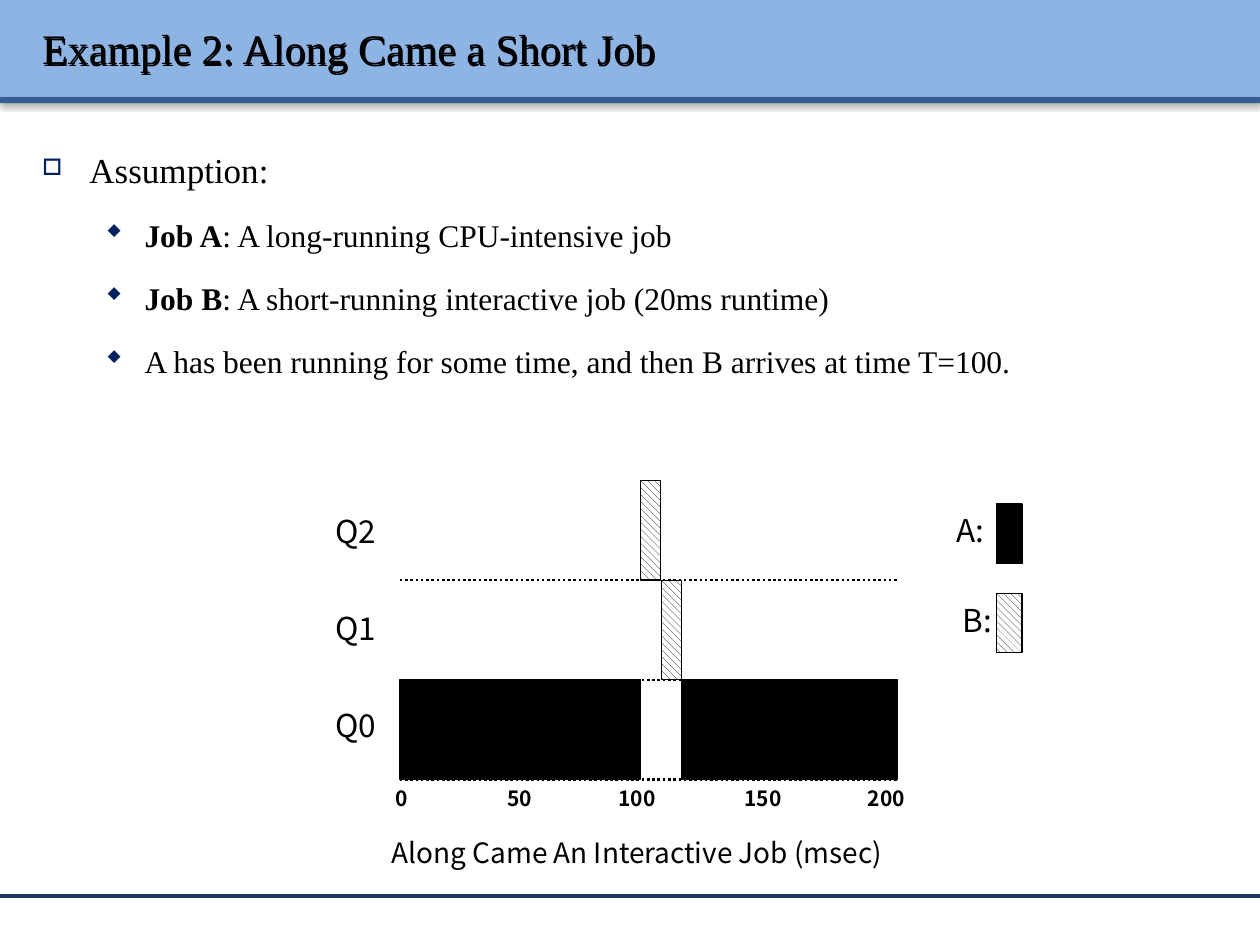
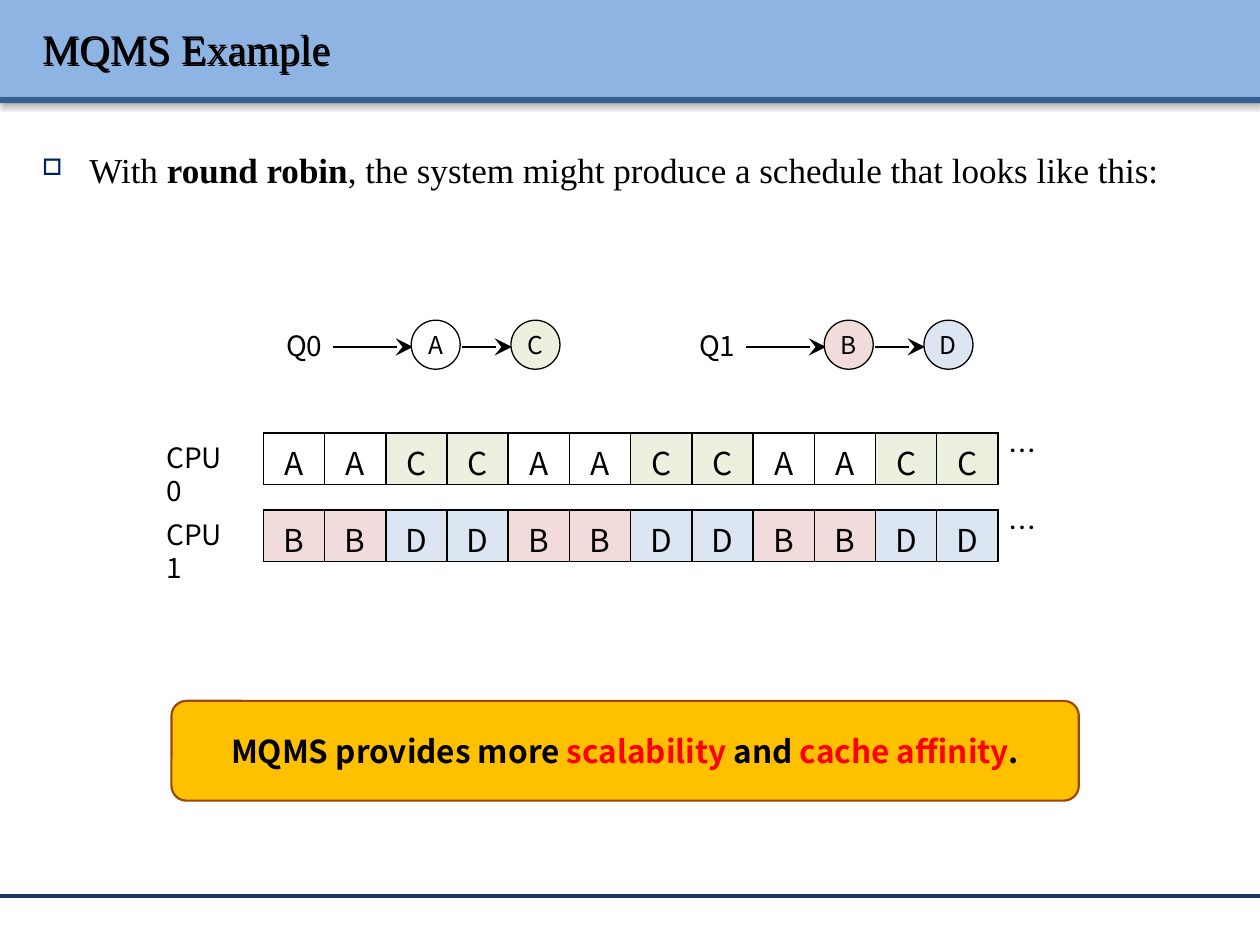
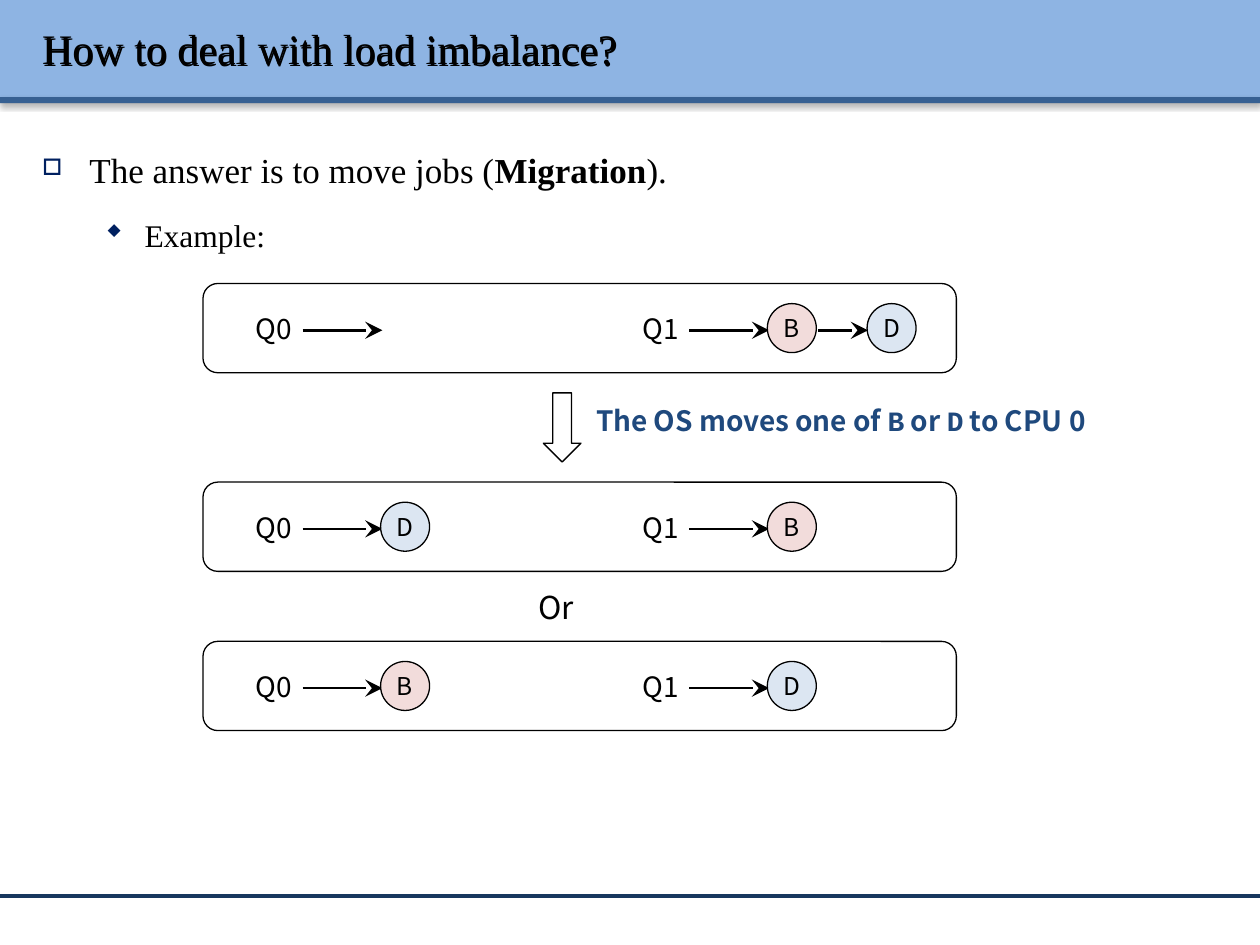
from dataclasses import dataclass
from typing import Optional

from lxml.etree import SubElement
from pptx import Presentation
from pptx.dml.color import RGBColor
from pptx.enum.dml import MSO_LINE_DASH_STYLE as DASH, MSO_PATTERN_TYPE as PATTERN
from pptx.enum.shapes import MSO_CONNECTOR_TYPE as CONNECTOR, MSO_SHAPE as SHAPE
from pptx.enum.text import MSO_ANCHOR as ANCHOR, MSO_AUTO_SIZE as AUTO_SIZE, PP_ALIGN as ALIGN
from pptx.oxml.ns import qn
from pptx.util import Pt

BLACK = RGBColor(0x00, 0x00, 0x00)
WHITE = RGBColor(0xFF, 0xFF, 0xFF)
RED = RGBColor(0xFF, 0x00, 0x00)
BAND = RGBColor(0x8E, 0xB4, 0xE3)
STRIP = RGBColor(0x37, 0x60, 0x92)
FOOTER = RGBColor(0x17, 0x37, 0x5E)
NAVY = RGBColor(0x1F, 0x49, 0x7D)
AMBER = RGBColor(0xFF, 0xC0, 0x00)
BROWN = RGBColor(0x98, 0x48, 0x07)
BULLET = RGBColor(0x00, 0x20, 0x60)
GREEN = RGBColor(0xEB, 0xF1, 0xDE)
PINK = RGBColor(0xF2, 0xDC, 0xDB)
BLUE = RGBColor(0xDC, 0xE6, 0xF2)
JOB_FILLS = {"A": WHITE, "B": PINK, "C": GREEN, "D": BLUE}

SERIF, SANS, MONO, SYMBOLS = "Times New Roman", "Noto Sans CJK KR", "Courier New", "Wingdings"
LEFT, WIDTH, PAGE_WIDTH = 17, 692, 720


@dataclass
class Span:
    """A piece of text with its own look, on a new line if asked."""

    text: str
    bold: bool = False
    color: RGBColor = BLACK
    font: Optional[str] = None
    new_line: bool = False


def write(para, spans, size, font=SANS):
    """Fill a paragraph with spans of text."""
    for span in spans:
        if span.new_line:
            para.add_line_break()
        run = para.add_run()
        run.text = span.text
        run.font.size = Pt(size)
        run.font.bold = span.bold
        run.font.color.rgb = span.color
        run.font.name = span.font or font
        SubElement(run.font._element, qn("a:ea"), typeface=span.font or font)


def add_shadow(shape, blur, distance, angle, alpha):
    """Give a shape a black outer shadow."""
    shape.shadow.inherit = False
    effects = shape._element.spPr.find(qn("a:effectLst"))
    outer = SubElement(effects, qn("a:outerShdw"), blurRad=str(Pt(blur)), dist=str(Pt(distance)),
                       dir=str(angle * 60000), algn="t", rotWithShape="0")
    color = SubElement(outer, qn("a:srgbClr"), val=str(BLACK))
    SubElement(color, qn("a:alpha"), val=str(alpha * 1000))


def add_box(page, left, top, width, height):
    """Add an empty wrapping text box."""
    box = page.shapes.add_textbox(Pt(left), Pt(top), Pt(width), Pt(height))
    box.text_frame.word_wrap = True
    return box


def add_label(page, spans, left, top, width, size=16, align=ALIGN.CENTER, wrap=True):
    """Add a short label that grows with its text."""
    frame = add_box(page, left, top, width, size * 1.2 + 7.2).text_frame
    frame.word_wrap = wrap
    frame.auto_size = AUTO_SIZE.SHAPE_TO_FIT_TEXT
    frame.paragraphs[0].alignment = align
    write(frame.paragraphs[0], spans, size)


def add_shape(page, kind, left, top, width, height, fill=None, line=BLACK, weight=0.75):
    """Add a preset shape with a plain fill and outline."""
    shape = page.shapes.add_shape(kind, Pt(left), Pt(top), Pt(width), Pt(height))
    shape.shadow.inherit = False
    if fill is None:
        shape.fill.background()
    else:
        shape.fill.solid()
        shape.fill.fore_color.rgb = fill
    if line is None:
        shape.line.fill.background()
    else:
        shape.line.color.rgb = line
        shape.line.width = Pt(weight)
    return shape


def add_hatched(page, left, top, width, height):
    """Add a bar with diagonal hatching."""
    bar = add_shape(page, SHAPE.RECTANGLE, left, top, width, height)
    bar.fill.patterned()
    bar.fill.pattern = PATTERN.WIDE_DOWNWARD_DIAGONAL
    bar.fill.fore_color.rgb = BLACK
    bar.fill.back_color.rgb = WHITE


def add_line(page, start, end, y, color=BLACK, weight=1.5, dash=None, arrow=False):
    """Add a level line, dashed or with an arrowhead if asked."""
    line = page.shapes.add_connector(CONNECTOR.STRAIGHT, Pt(start), Pt(y), Pt(end), Pt(y))
    line.line.color.rgb = color
    line.line.width = Pt(weight)
    if dash is not None:
        line.line.dash_style = dash
    if arrow:
        SubElement(line.line._get_or_add_ln(), qn("a:tailEnd"), type="stealth", w="lg", len="lg")
    SubElement(line._element.spPr, qn("a:effectLst"))


def add_bullet(para, level):
    """Set indents, spacing and the bullet of one outline level."""
    margin, hanging, char, scale = [(27, 27, "o", 65), (58.5, 22.5, "w", 100)][level]
    para.level = level
    para.line_spacing = 1.5
    props = para._p.get_or_add_pPr()
    props.set("marL", str(Pt(margin)))
    props.set("indent", str(-Pt(hanging)))
    before = SubElement(props, qn("a:spcBef"))
    SubElement(before, qn("a:spcPct"), val="20000")
    color = SubElement(props, qn("a:buClr"))
    SubElement(color, qn("a:srgbClr"), val=str(BULLET))
    SubElement(props, qn("a:buSzPct"), val=str(scale * 1000))
    SubElement(props, qn("a:buFont"), typeface=SYMBOLS, pitchFamily="2", charset="2")
    SubElement(props, qn("a:buChar"), char=char)


def add_page(deck, title, outline):
    """Add a page with bands, title, footer line and bulleted outline."""
    page = deck.slides.add_slide(deck.slide_layouts[6])
    for top, height, color in [(0, 55.5, BAND), (55.5, 3.5, STRIP)]:
        band = add_shape(page, SHAPE.RECTANGLE, 0, top, PAGE_WIDTH, height, color, None)
        add_shadow(band, 3.1, 1.6, 90, 38)
    add_line(page, 0, PAGE_WIDTH, 512, FOOTER, 2)

    heading = add_box(page, LEFT, 4.5, WIDTH, 46)
    heading.text_frame.vertical_anchor = ANCHOR.MIDDLE
    write(heading.text_frame.paragraphs[0], [Span(title)], 24, SERIF)
    add_shadow(heading, 0, 1, 45, 100)

    frame = add_box(page, LEFT, 69.5, WIDTH, 433.5).text_frame
    for index, (level, spans) in enumerate(outline):
        para = frame.add_paragraph() if index else frame.paragraphs[0]
        add_bullet(para, level)
        write(para, spans, 18 if level else 20, SERIF)
    return page


def add_queue(page, name, jobs, left, top):
    """Draw a queue: its name, an arrow and the chain of jobs."""
    add_label(page, [Span(name)], left, top, 36, align=ALIGN.LEFT, wrap=False)
    add_line(page, left + 34, left + 79.5, top + 14.25, arrow=True)
    for index, job in enumerate(jobs):
        x = left + 78.5 + 57 * index
        if index:
            add_line(page, x - 28, x + 0.5, top + 14.25, arrow=True)
        circle = add_shape(page, SHAPE.OVAL, x, top - 1, 28, 28, JOB_FILLS[job])
        frame = circle.text_frame
        frame.margin_left = frame.margin_right = 0
        frame.vertical_anchor = ANCHOR.MIDDLE
        frame.paragraphs[0].alignment = ALIGN.CENTER
        write(frame.paragraphs[0], [Span(job)], 14)


def add_borders(cell):
    """Draw a thin black border on all sides of a cell."""
    props = cell._tc.get_or_add_tcPr()
    for index, side in enumerate(["a:lnL", "a:lnR", "a:lnT", "a:lnB"]):
        line = props.makeelement(qn(side), {"w": str(Pt(1))})
        fill = SubElement(line, qn("a:solidFill"))
        SubElement(fill, qn("a:srgbClr"), val=str(BLACK))
        props.insert(index, line)


def add_schedule(page, number, jobs, top):
    """Draw the time slots of one CPU as a one-row table."""
    add_label(page, [Span("CPU"), Span(number, new_line=True)], 88, top + 0.5, 54,
              align=ALIGN.LEFT, wrap=False)
    frame = page.shapes.add_table(1, len(jobs), Pt(150.5), Pt(top), Pt(35 * len(jobs)), Pt(29.5))
    table = frame.table
    table.first_row = table.horz_banding = False
    for cell, job in zip(table.iter_cells(), jobs):
        if job == "A":
            cell.fill.background()
        else:
            cell.fill.solid()
            cell.fill.fore_color.rgb = JOB_FILLS[job]
        add_borders(cell)
        para = cell.text_frame.paragraphs[0]
        para.alignment = ALIGN.CENTER
        write(para, [Span(job)], 18)
    add_label(page, [Span("…")], 569.5, top - 3.5, 28, align=ALIGN.LEFT)


def build_short_job(deck):
    """Build the page with the timeline of jobs A and B."""
    page = add_page(deck, "Example 2: Along Came a Short Job", [
        (0, [Span("Assumption:")]),
        (1, [Span("Job A", True), Span(": A long-running CPU-intensive job")]),
        (1, [Span("Job B", True), Span(": A short-running interactive job (20ms runtime)")]),
        (1, [Span("A has been running for some time, and then B arrives at time T=100.")]),
    ])
    start, end, top, row = 228.5, 513, 274.5, 57
    add_label(page, [Span("Along Came An Interactive Job (msec)")], 198, 474, 332)
    for index, name in enumerate(["Q2", "Q1", "Q0"]):
        add_line(page, start, end, top + row * (index + 1), dash=DASH.ROUND_DOT)
        add_label(page, [Span(name)], 178.5, 289 + 55.5 * index, 49.5, 18)
    for left, right in [(start, 366), (389.5, end)]:
        add_shape(page, SHAPE.RECTANGLE, left, top + 2 * row, right - left, row, BLACK)
    for index in range(2):
        add_hatched(page, 366 + 12 * index, top + row * index, 11.5, row)
    for mark, left, width in [("0", 219, 17.5), ("50", 280, 34), ("100", 342, 44),
                              ("150", 414, 44), ("200", 484.5, 44)]:
        add_label(page, [Span(mark, True)], left, 445.5, width, 12)
    add_label(page, [Span("A:")], 534, 288.5, 41, 18)
    add_label(page, [Span("B:")], 541.5, 340, 34, 18)
    add_shape(page, SHAPE.RECTANGLE, 569.5, 288, 14.5, 34, BLACK)
    add_hatched(page, 569.5, 339, 14.5, 34)


def build_multi_queue(deck):
    """Build the page with two queues and their schedules."""
    page = add_page(deck, "MQMS Example", [
        (0, [Span("With "), Span("round robin", True),
             Span(", the system might produce a schedule that looks like this:")]),
    ])
    add_queue(page, "Q0", "AC", 156.5, 184)
    add_queue(page, "Q1", "BD", 392.5, 184)
    add_schedule(page, "0", "AACC" * 3, 247.5)
    add_schedule(page, "1", "BBDD" * 3, 291.5)
    banner = add_shape(page, SHAPE.ROUNDED_RECTANGLE, 98, 400.5, 518.5, 57, AMBER, BROWN, 1.25)
    banner.adjustments[0] = 0.15
    frame = banner.text_frame
    frame.vertical_anchor = ANCHOR.MIDDLE
    frame.paragraphs[0].alignment = ALIGN.CENTER
    write(frame.paragraphs[0], [
        Span("MQMS provides more ", True), Span("scalability", True, RED),
        Span(" and ", True), Span("cache affinity", True, RED), Span(".", True),
    ], 18)


def build_migration(deck):
    """Build the page with the queues before and after a migration."""
    page = add_page(deck, "How to deal with load imbalance?", [
        (0, [Span("The answer is to move jobs ("), Span("Migration", True), Span(").")]),
        (1, [Span("Example:")]),
    ])
    for top, first, second in [(162, "", "BD"), (275.5, "D", "B"), (366.5, "B", "D")]:
        add_shape(page, SHAPE.ROUNDED_RECTANGLE, 116, top, 430.5, 51)
        add_queue(page, "Q0", first, 139, top + 12.5)
        add_queue(page, "Q1", second, 360, top + 12.5)
    add_label(page, [Span("Or")], 286.5, 332.5, 62.5, 18)
    add_shape(page, SHAPE.DOWN_ARROW, 310.5, 224.5, 21.5, 39.5, WHITE)
    add_label(page, [
        Span("The OS moves one of ", True, NAVY), Span("B", True, NAVY, MONO),
        Span(" or ", True, NAVY), Span("D", True, NAVY, MONO), Span(" to CPU 0", True, NAVY),
    ], 333.5, 227, 367, align=ALIGN.LEFT)


def main():
    """Build the deck and save it."""
    deck = Presentation()
    deck.slide_width, deck.slide_height = Pt(PAGE_WIDTH), Pt(540)
    build_short_job(deck)
    build_multi_queue(deck)
    build_migration(deck)
    deck.save("out.pptx")


if __name__ == "__main__":
    main()
